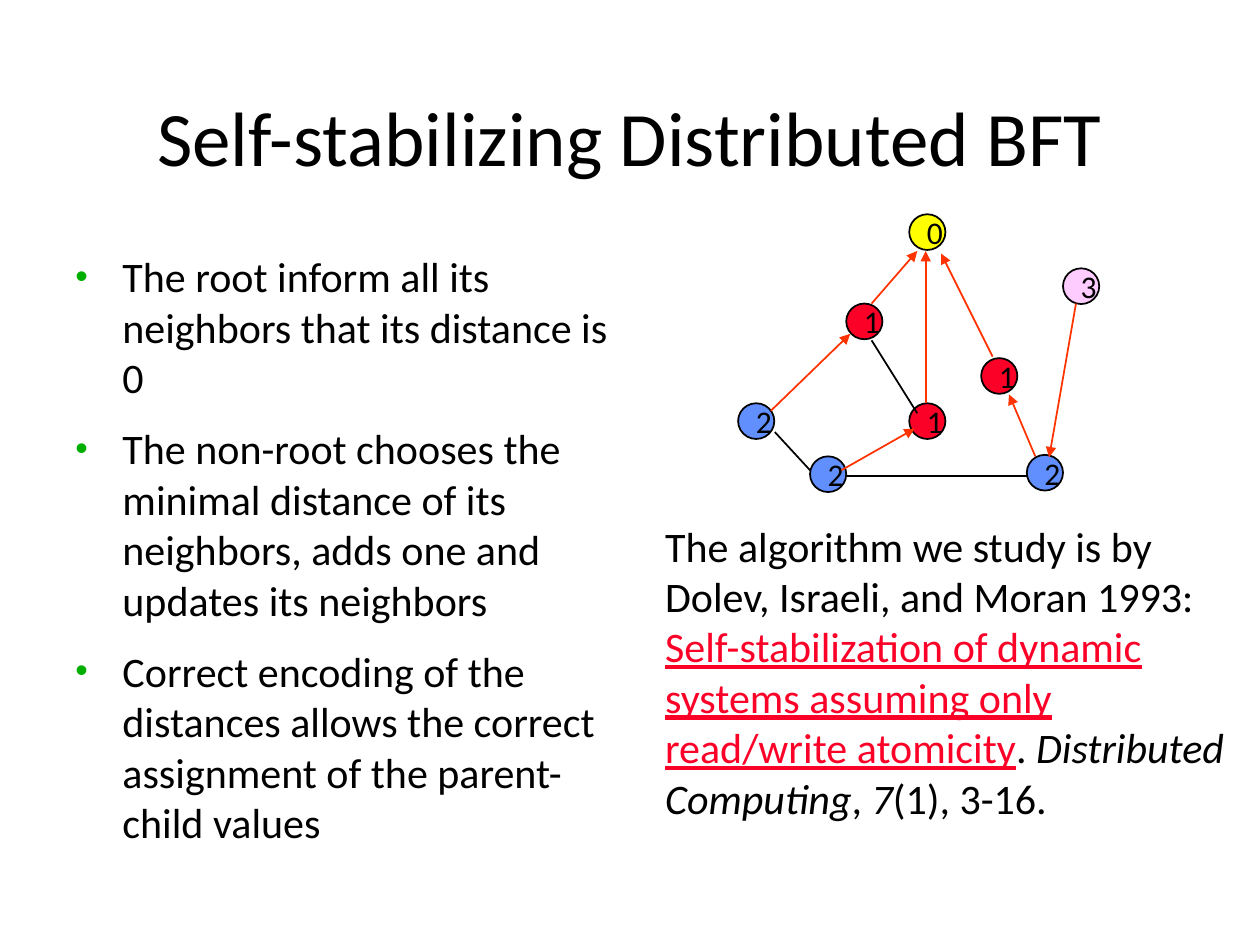
from lxml import etree
from pptx import Presentation
from pptx.dml.color import RGBColor
from pptx.enum.shapes import MSO_CONNECTOR, MSO_SHAPE
from pptx.enum.text import MSO_ANCHOR, PP_ALIGN
from pptx.oxml.ns import qn
from pptx.util import Cm, Pt

LEFT, CENTER = PP_ALIGN.LEFT, PP_ALIGN.CENTER
TOP, MIDDLE = MSO_ANCHOR.TOP, MSO_ANCHOR.MIDDLE
OVAL, STRAIGHT = MSO_SHAPE.OVAL, MSO_CONNECTOR.STRAIGHT

FONT = "Calibri"
HUES = {
    "black": "000000", "yellow": "FFFF00", "red": "FC0128", "blue": "618FFD",
    "pink": "FFCCFF", "orange": "FF3300", "green": "00AE00",
}
NODE = (0.73, 0.72)

POINTS = [
    "The root inform all its neighbors that its distance is 0",
    "The non-root chooses the minimal distance of its neighbors, "
    "adds one and updates its neighbors",
    "Correct encoding of the distances allows the correct assignment "
    "of the parent-child values",
]
SOURCE = [
    ("The algorithm we study is by Dolev, Israeli, and Moran 1993: ", {}),
    ("Self-stabilization of dynamic systems assuming only read/write atomicity",
     {"hue": "red", "under": True}),
    (".\u00a0".replace("\u00a0", " "), {}),
    ("Distributed Computing", {"slant": True}),
    (", ", {}),
    ("7", {"slant": True}),
    ("(1), 3-16.", {}),
]
NODES = [
    ("0", "yellow", 3.45, 0), ("1", "red", 4.9, 2.9),
    ("3", "pink", 6.55, 1.09), ("2", "blue", 5.82, 4.85),
    ("1", "red", 3.45, 3.81), ("1", "red", 2.18, 1.8),
    ("2", "blue", 1.45, 4.88), ("2", "blue", 0, 3.81),
]
ARROWS = [
    (2.69, 1.8, 3.61, 0.74), (3.78, 3.81, 3.78, 0.74),
    (2.08, 5.16, 3.56, 4.32), (0.66, 3.96, 2.26, 2.41),
    (6.81, 1.8, 6.27, 4.9), (5.13, 2.87, 4.09, 0.79),
    (5.99, 4.88, 5.46, 3.63),
]
LINKS = [
    (0.74, 4.39, 1.45, 5.16), (2.18, 5.28, 5.82, 5.28),
    (2.69, 2.54, 3.61, 4.01),
]


def tint(name):
    return RGBColor.from_string(HUES[name])


def write(para, text, size=24, hue="black", slant=False, under=False, align=LEFT):
    para.alignment = align
    run = para.add_run()
    run.text = text
    font = run.font
    font.name, font.size = FONT, Pt(size)
    font.italic, font.underline = slant, under
    font.color.rgb = tint(hue)


def frame(slide, box, anchor=TOP):
    body = slide.shapes.add_textbox(*map(Cm, box)).text_frame
    body.word_wrap = True
    body.vertical_anchor = anchor
    return body


def bullet(para):
    props = para._p.get_or_add_pPr()
    props.set("marL", str(Cm(0.95)))
    props.set("indent", str(Cm(-0.95)))
    color = etree.SubElement(props, qn("a:buClr"))
    etree.SubElement(color, qn("a:srgbClr"), val=HUES["green"])
    etree.SubElement(props, qn("a:buSzPct"), val="85000")
    etree.SubElement(props, qn("a:buFont"), typeface="Arial")
    etree.SubElement(props, qn("a:buChar"), char="•")


def title(slide, box):
    body = frame(slide, box, MIDDLE)
    write(body.paragraphs[0], "Self-stabilizing Distributed BFT", size=44, align=CENTER)


def points(slide, box):
    body = frame(slide, box)
    for i, text in enumerate(POINTS):
        para = body.add_paragraph() if i else body.paragraphs[0]
        if i:
            para.space_before = Pt(12)
        write(para, text)
        bullet(para)


def source(slide, box):
    para = frame(slide, box).paragraphs[0]
    for text, style in SOURCE:
        write(para, text, **style)


def node(slide, x, y, text, hue):
    shape = slide.shapes.add_shape(OVAL, Cm(x), Cm(y), *map(Cm, NODE))
    shape.shadow.inherit = False
    shape.fill.solid()
    shape.fill.fore_color.rgb = tint(hue)
    shape.line.color.rgb = tint("black")
    shape.line.width = Pt(1)
    body = shape.text_frame
    body.word_wrap = False
    body.vertical_anchor = MIDDLE
    write(body.paragraphs[0], text, size=18)


def link(slide, ends, hue, arrow=False):
    line = slide.shapes.add_connector(STRAIGHT, *map(Cm, ends))
    line.line.color.rgb = tint(hue)
    line.line.width = Pt(1)
    if arrow:
        etree.SubElement(line.line._get_or_add_ln(), qn("a:tailEnd"), type="triangle")
    etree.SubElement(line._element.spPr, qn("a:effectLst"))


def graph(slide, x, y):
    for text, hue, dx, dy in NODES:
        node(slide, x + dx, y + dy, text, hue)
    for ends, hue, arrow in (
        [(e, "orange", True) for e in ARROWS] + [(e, "black", False) for e in LINKS]
    ):
        x1, y1, x2, y2 = ends
        link(slide, (x + x1, y + y1, x + x2, y + y2), hue, arrow)


def main():
    deck = Presentation()
    deck.slide_width, deck.slide_height = Cm(25.4), Cm(19.05)
    slide = deck.slides.add_slide(deck.slide_layouts[6])
    title(slide, (1.27, 1.14, 22.86, 3.18))
    points(slide, (1.27, 4.93, 11.81, 12.6))
    source(slide, (13.16, 10.36, 11.81, 7.21))
    graph(slide, 14.88, 4.32)
    deck.save("out.pptx")


if __name__ == "__main__":
    main()
